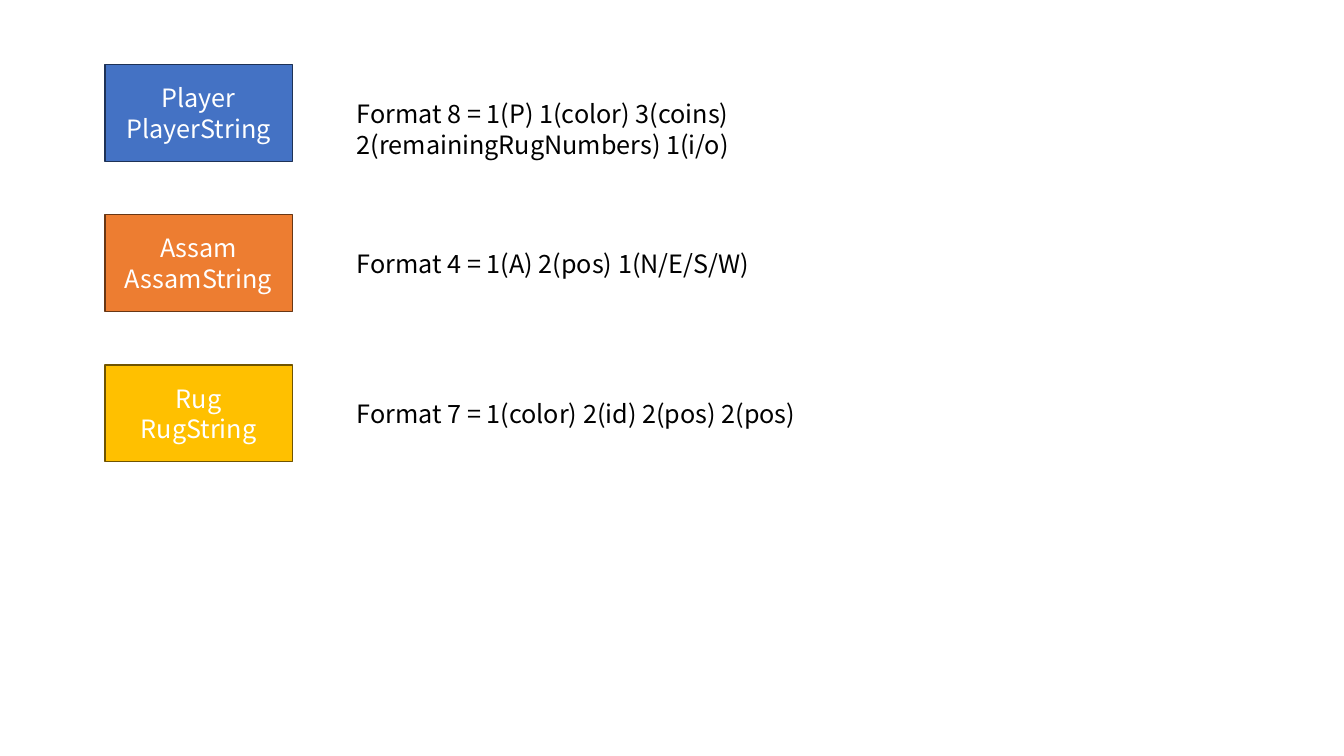
import pptx
import pptx.util
import pptx.dml.color
import pptx.enum.shapes
import pptx.enum.text

Inches, Pt = pptx.util.Inches, pptx.util.Pt
RGB = pptx.dml.color.RGBColor.from_string
ALIGN = pptx.enum.text.PP_ALIGN
FONT = "Noto Sans CJK SC"
COLORS = {
    "white": "FFFFFF", "black": "000000",
    "blue": "4472C4", "navy": "1E3256",
    "orange": "ED7D31", "brown": "683715",
    "gold": "FFC000", "olive": "705400",
}


def write(frame, lines, color, align):
    frame.word_wrap = True
    frame.text = "\n".join(lines)
    for para in frame.paragraphs:
        para.alignment = align
        para.line_spacing = Pt(22)
        para.font.name = FONT
        para.font.size = Pt(18)
        para.font.color.rgb = RGB(COLORS[color])


deck = pptx.Presentation()
deck.slide_width, deck.slide_height = Inches(13.33), Inches(7.5)
slide = deck.slides.add_slide(deck.slide_layouts[6])

# Class name, fill, line, format, format width and height
rows = [
    ("Player", "blue", "navy",
     "Format 8 = 1(P) 1(color) 3(coins) 2(remainingRugNumbers) 1(i/o)", 5.9, 0.71),
    ("Assam", "orange", "brown", "Format 4 = 1(A) 2(pos) 1(N/E/S/W)", 4.7, 0.4),
    ("Rug", "gold", "olive", "Format 7 = 1(color) 2(id) 2(pos) 2(pos)", 4.7, 0.4),
]

for i, (name, fill, line, rule, width, height) in enumerate(rows):
    top = 0.64 + 1.49 * i

    # Class box
    box = slide.shapes.add_shape(
        pptx.enum.shapes.MSO_SHAPE.RECTANGLE,
        Inches(1.04), Inches(top), Inches(1.86), Inches(0.96))
    box.shadow.inherit = False
    box.fill.solid()
    box.fill.fore_color.rgb = RGB(COLORS[fill])
    box.line.color.rgb = RGB(COLORS[line])
    box.line.width = Pt(1)
    box.text_frame.vertical_anchor = pptx.enum.text.MSO_ANCHOR.MIDDLE
    write(box.text_frame, [name, name + "String"], "white", ALIGN.CENTER)

    # String format
    note = slide.shapes.add_textbox(
        Inches(3.44), Inches(top + 0.28), Inches(width), Inches(height))
    write(note.text_frame, [rule], "black", ALIGN.LEFT)
    note.text_frame.auto_size = pptx.enum.text.MSO_AUTO_SIZE.SHAPE_TO_FIT_TEXT

deck.save("out.pptx")
